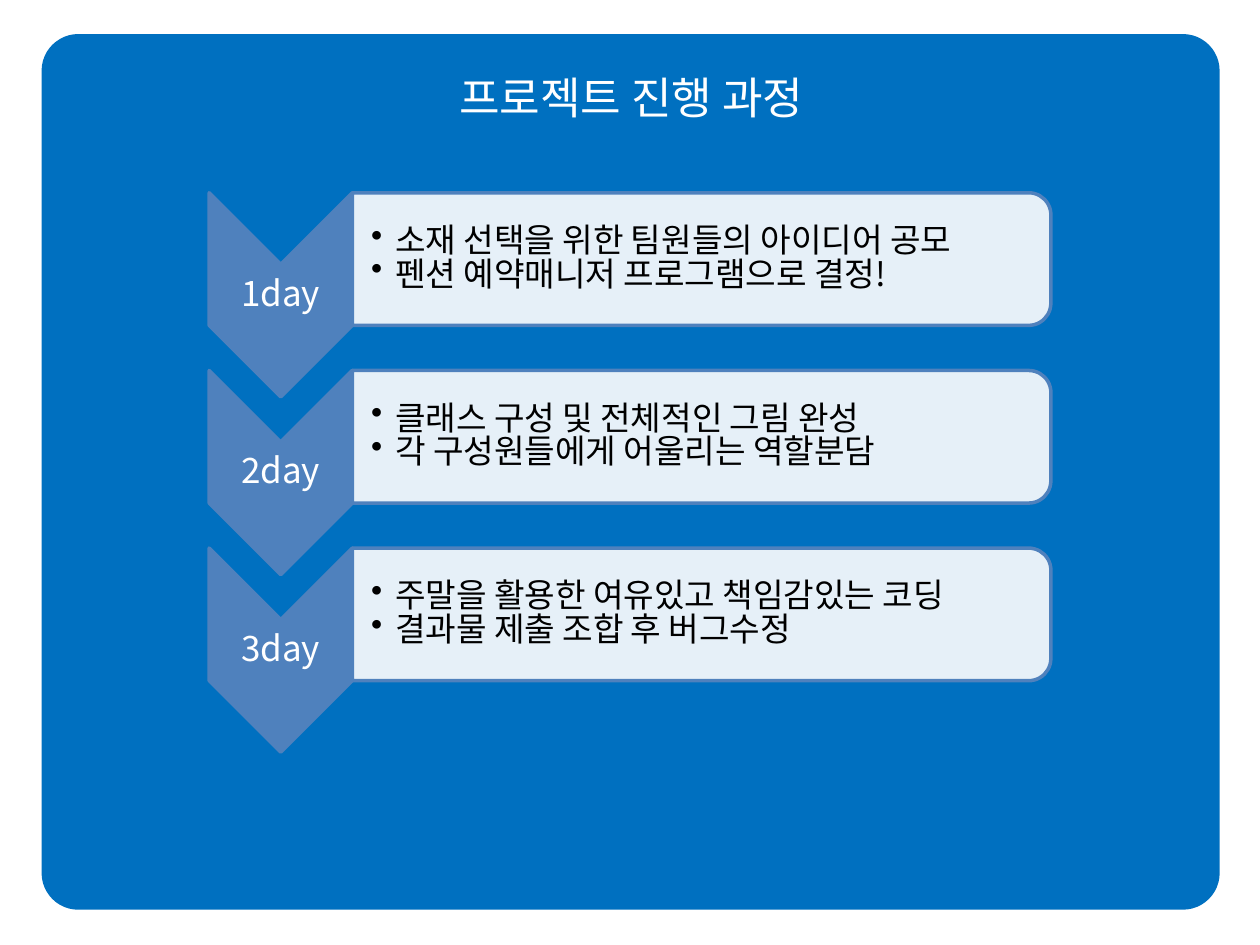
from lxml import etree
from pptx import Presentation
from pptx import util as u
from pptx.dml.color import RGBColor
from pptx.enum import shapes, text
from pptx.oxml.ns import qn

WIDE, HIGH = 10, 7.5
FACE = "Noto Sans CJK KR"
BLUE, STEEL, WHITE, BLACK = "0070C0", "4F81BD", "FFFFFF", "000000"
KIND = shapes.MSO_SHAPE

DAYS = [
    ("1day", ["소재 선택을 위한 팀원들의 아이디어 공모",
              "펜션 예약매니저 프로그램으로 결정!"]),
    ("2day", ["클래스 구성 및 전체적인 그림 완성",
              "각 구성원들에게 어울리는 역할분담"]),
    ("3day", ["주말을 활용한 여유있고 책임감있는 코딩",
              "결과물 제출 조합 후 버그수정"]),
]


def color(code):
    return RGBColor.from_string(code)


def block(slide, kind, box, fill, line=None, turn=False):
    """Add a filled shape covering box; turn draws it rotated by 90 degrees."""
    x, y, w, h = box
    if turn:
        x, y, w, h = x + (w - h) / 2, y + (h - w) / 2, h, w
    part = slide.shapes.add_shape(kind, *map(u.Inches, (x, y, w, h)))
    part.rotation = 90 if turn else 0
    part.shadow.inherit = False
    part.fill.solid()
    part.fill.fore_color.rgb = color(fill)
    if line:
        part.line.color.rgb = color(line)
        part.line.width = u.Pt(2)
    else:
        part.line.fill.background()
    return part


def write(slide, box, lines, size, ink, inset=0.01, space=1.0, bullet=False):
    """Add a vertically centred text box, as a bullet list or centred lines."""
    frame = slide.shapes.add_textbox(*map(u.Inches, box)).text_frame
    frame.word_wrap = True
    frame.vertical_anchor = text.MSO_ANCHOR.MIDDLE
    frame.margin_left = u.Inches(inset)
    frame.margin_right = frame.margin_top = frame.margin_bottom = u.Inches(0.01)
    frame.text = "\n".join(lines)
    for para in frame.paragraphs:
        para.line_spacing = space
        if bullet:
            props = para._p.get_or_add_pPr()
            props.set("marL", str(u.Inches(0.19)))
            props.set("indent", str(-u.Inches(0.19)))
            etree.SubElement(props, qn("a:buChar")).set("char", "•")
        else:
            para.alignment = text.PP_ALIGN.CENTER
        para.font.size = u.Pt(size)
        para.font.name = FACE
        para.font.color.rgb = color(ink)
        for run in para.runs:
            east = etree.SubElement(run._r.get_or_add_rPr(), qn("a:ea"))
            east.set("typeface", FACE)


def step(slide, box, day, notes):
    """One day: a downward chevron beside a panel of notes."""
    x, y, w, h = box
    arm = 0.17 * w       # chevron width
    tip = arm / 2        # chevron point depth
    deep = h - tip       # panel height

    # Chevron and its label
    block(slide, KIND.CHEVRON, (x, y, arm, h), STEEL, STEEL, turn=True)
    write(slide, (x, y + tip, arm, h - 2 * tip), [day], 20, WHITE, space=0.9)

    # Panel, rounded on its right side
    panel = block(slide, KIND.ROUND_2_SAME_RECTANGLE,
                  (x + arm, y, w - arm, deep), WHITE, STEEL, turn=True)
    tint = panel.fill._xPr.find(qn("a:solidFill"))[0]
    etree.SubElement(tint, qn("a:alpha")).set("val", "90000")
    write(slide, (x + arm, y + 0.05, w - arm - 0.05, deep - 0.1), notes,
          19, BLACK, inset=0.15, space=0.85, bullet=True)


def steps(slide, box, pitch):
    """Stack the days down the box at an equal pitch."""
    x, y, w, h = box
    for row, (day, notes) in enumerate(DAYS):
        step(slide, (x, y + row * pitch, w, h - (len(DAYS) - 1) * pitch),
             day, notes)


def board(slide, box):
    """Rounded backdrop with the title near its top."""
    x, y, w, h = box
    back = block(slide, KIND.ROUNDED_RECTANGLE, box, BLUE)
    back.adjustments[0] = 0.042
    write(slide, (x + 0.18, y + 0.1, w - 0.35, 0.8),
          ["프로젝트 진행 과정"], 25.2, WHITE)


def main():
    deck = Presentation()
    deck.slide_width, deck.slide_height = u.Inches(WIDE), u.Inches(HIGH)
    slide = deck.slides.add_slide(deck.slide_layouts[6])
    board(slide, (0.33, 0.27, 9.35, 6.95))
    steps(slide, (1.66, 1.53, 6.68, 4.44), 1.41)
    deck.save("out.pptx")


if __name__ == "__main__":
    main()
